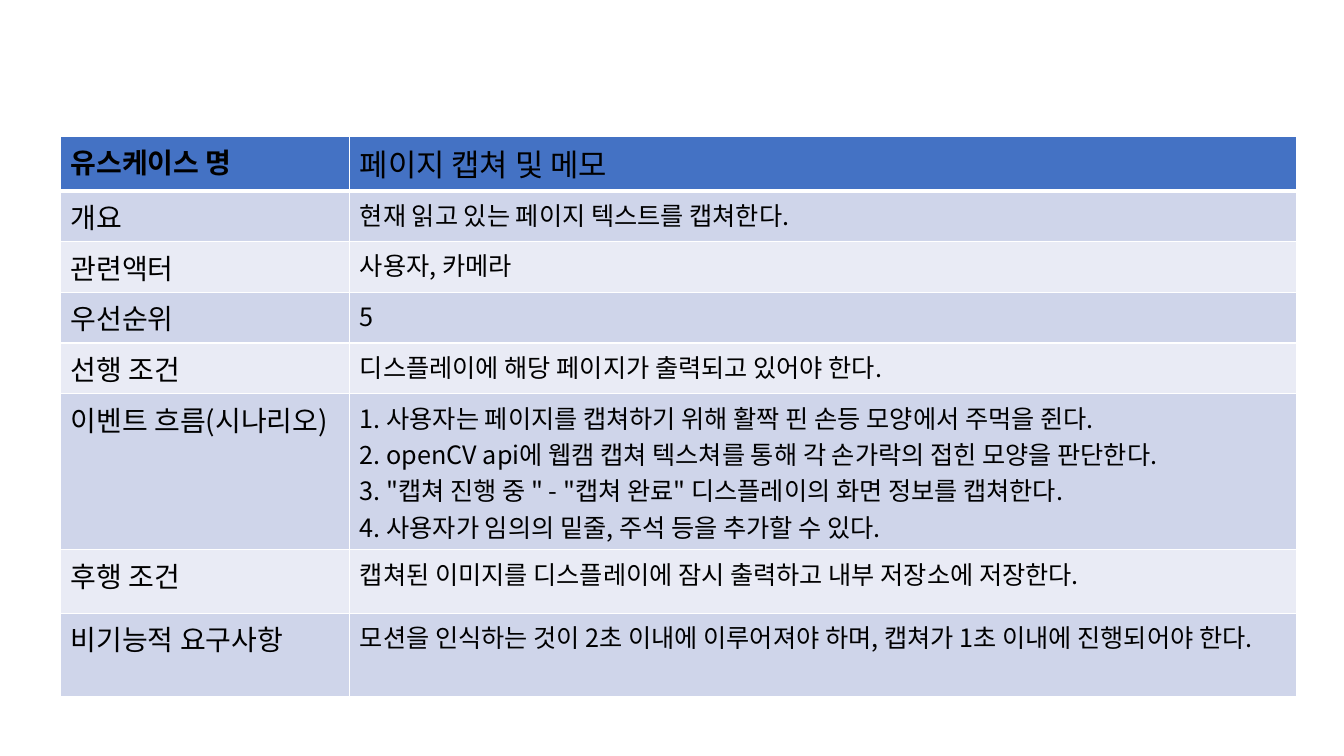
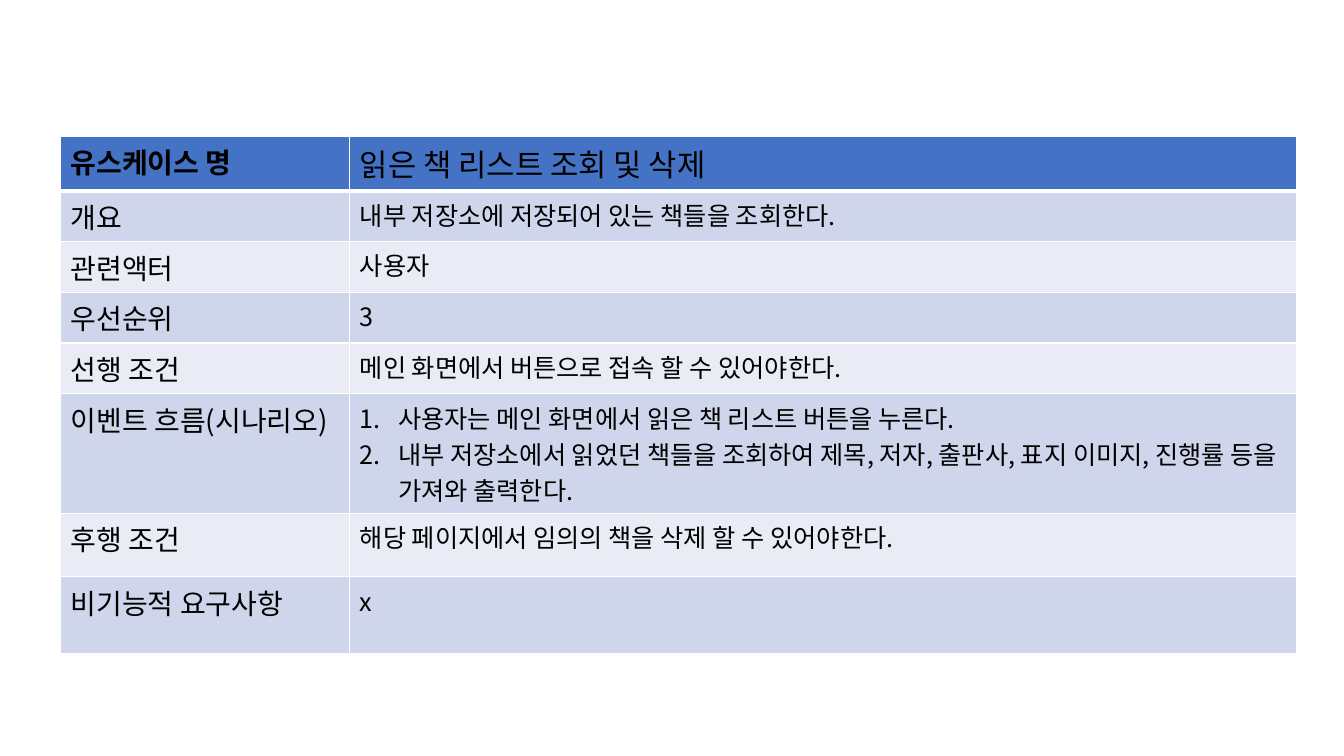
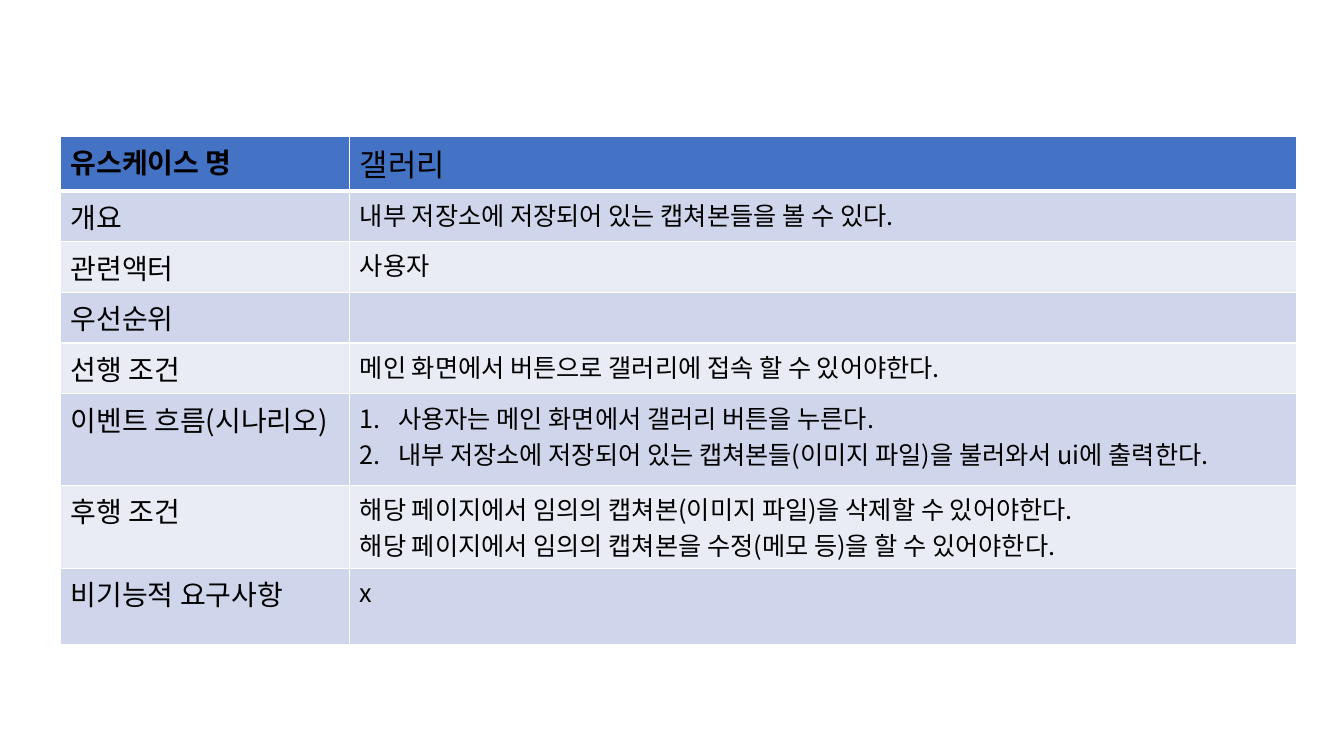
"""Builds three use-case specification slides."""
from lxml import etree
from pptx import Presentation
from pptx.dml.color import RGBColor
from pptx.oxml.ns import qn
from pptx.util import Inches, Pt

LABELS = ["유스케이스 명", "개요", "관련액터", "우선순위", "선행 조건",
          "이벤트 흐름(시나리오)", "후행 조건", "비기능적 요구사항"]
ROW_HEIGHTS = [0.39, 0.41, 0.41, 0.39, 0.43, 0.69, 0.63, 0.76]
COLUMN_WIDTHS = [2.87, 9.39]


def rgb(value):
    """Return the colour for a hex string."""
    return RGBColor.from_string(value)


class UseCaseDeck:
    """Holds the shared style and the current slide."""

    FONT = "Noto Sans CJK KR"
    INK, LINE, HEADER = "000000", "FFFFFF", "4472C4"
    BANDS = ["E9EBF5", "CFD5EA"]
    HEADING_SIZE, LABEL_SIZE, BODY_SIZE = 22, 20, 18
    THIN, THICK = 1, 3
    INDENT = 0.38

    def __init__(self):
        """Start an empty widescreen presentation."""
        self.prs = Presentation()
        self.prs.slide_width = Inches(13.33)
        self.prs.slide_height = Inches(7.5)
        self.slide = None

    def add_slide(self):
        """Add a blank slide and make it current."""
        self.slide = self.prs.slides.add_slide(self.prs.slide_layouts[6])

    def borders(self, cell, top, bottom):
        """Draw the four cell borders, with the given top and bottom widths."""
        properties = cell._tc.get_or_add_tcPr()
        widths = {"a:lnL": self.THIN, "a:lnR": self.THIN, "a:lnT": top, "a:lnB": bottom}
        for position, (tag, width) in enumerate(widths.items()):
            line = etree.Element(qn(tag), w=str(Pt(width)))
            fill = etree.SubElement(line, qn("a:solidFill"))
            etree.SubElement(fill, qn("a:srgbClr"), val=self.LINE)
            properties.insert(position, line)

    def number(self, paragraph):
        """Turn a paragraph into a numbered step with a hanging indent."""
        properties = paragraph._p.get_or_add_pPr()
        properties.set("marL", str(Inches(self.INDENT)))
        properties.set("indent", str(-Inches(self.INDENT)))
        etree.SubElement(properties, qn("a:buAutoNum"), type="arabicPeriod")

    def cell_text(self, cell, lines, size, bold=False, numbered=False):
        """Put one paragraph per line into a cell."""
        frame = cell.text_frame
        for index, line in enumerate(lines):
            paragraph = frame.add_paragraph() if index else frame.paragraphs[0]
            if numbered:
                self.number(paragraph)
            run = paragraph.add_run()
            run.text = line
            run.font.name = self.FONT
            run.font.size = Pt(size)
            run.font.bold = bold
            run.font.color.rgb = rgb(self.INK)
            etree.SubElement(run._r.get_or_add_rPr(), qn("a:ea"), typeface=self.FONT)

    def use_case(self, height, values, numbered=True):
        """Add a slide with the specification table of one use case."""
        self.add_slide()
        shape = self.slide.shapes.add_table(
            len(LABELS), len(COLUMN_WIDTHS), Inches(0.6), Inches(1.35),
            Inches(sum(COLUMN_WIDTHS)), Inches(height))
        table = shape.table
        for column, width in zip(table.columns, COLUMN_WIDTHS):
            column.width = Inches(width)
        for index, (label, lines) in enumerate(zip(LABELS, values)):
            header = index == 0
            row = table.rows[index]
            row.height = Inches(ROW_HEIGHTS[index])
            for cell in row.cells:
                cell.fill.solid()
                cell.fill.fore_color.rgb = rgb(self.HEADER if header else self.BANDS[index % 2])
                self.borders(cell, self.THICK if index == 1 else self.THIN,
                             self.THICK if header else self.THIN)
            name, detail = row.cells
            self.cell_text(name, [label], self.LABEL_SIZE, bold=header)
            self.cell_text(detail, lines, self.HEADING_SIZE if header else self.BODY_SIZE,
                           numbered=numbered and label == "이벤트 흐름(시나리오)")
        shape.height = Inches(height)


deck = UseCaseDeck()
deck.use_case(4.89, [
    ["페이지 캡쳐 및 메모"],
    ["현재 읽고 있는 페이지 텍스트를 캡쳐한다."],
    ["사용자, 카메라"],
    ["5"],
    ["디스플레이에 해당 페이지가 출력되고 있어야 한다."],
    ["1. 사용자는 페이지를 캡쳐하기 위해 활짝 핀 손등 모양에서 주먹을 쥔다.",
     "2. openCV api에 웹캠 캡쳐 텍스쳐를 통해 각 손가락의 접힌 모양을 판단한다.",
     '3. "캡쳐 진행 중 " - "캡쳐 완료" 디스플레이의 화면 정보를 캡쳐한다.',
     "4. 사용자가 임의의 밑줄, 주석 등을 추가할 수 있다."],
    ["캡쳐된 이미지를 디스플레이에 잠시 출력하고 내부 저장소에 저장한다."],
    ["모션을 인식하는 것이 2초 이내에 이루어져야 하며, 캡쳐가 1초 이내에 진행되어야 한다."],
], numbered=False)
deck.use_case(4.59, [
    ["읽은 책 리스트 조회 및 삭제"],
    ["내부 저장소에 저장되어 있는 책들을 조회한다."],
    ["사용자"],
    ["3"],
    ["메인 화면에서 버튼으로 접속 할 수 있어야한다."],
    ["사용자는 메인 화면에서 읽은 책 리스트 버튼을 누른다.",
     "내부 저장소에서 읽었던 책들을 조회하여 제목, 저자, 출판사, 표지 이미지, "
     "진행률 등을 가져와 출력한다."],
    ["해당 페이지에서 임의의 책을 삭제 할 수 있어야한다."],
    ["x"],
])
deck.use_case(4.43, [
    ["갤러리"],
    ["내부 저장소에 저장되어 있는 캡쳐본들을 볼 수 있다."],
    ["사용자"],
    [],
    ["메인 화면에서 버튼으로 갤러리에 접속 할 수 있어야한다."],
    ["사용자는 메인 화면에서 갤러리 버튼을 누른다.",
     "내부 저장소에 저장되어 있는 캡쳐본들(이미지 파일)을 불러와서 ui에 출력한다."],
    ["해당 페이지에서 임의의 캡쳐본(이미지 파일)을 삭제할 수 있어야한다.",
     "해당 페이지에서 임의의 캡쳐본을 수정(메모 등)을 할 수 있어야한다."],
    ["x"],
])
deck.prs.save("out.pptx")
